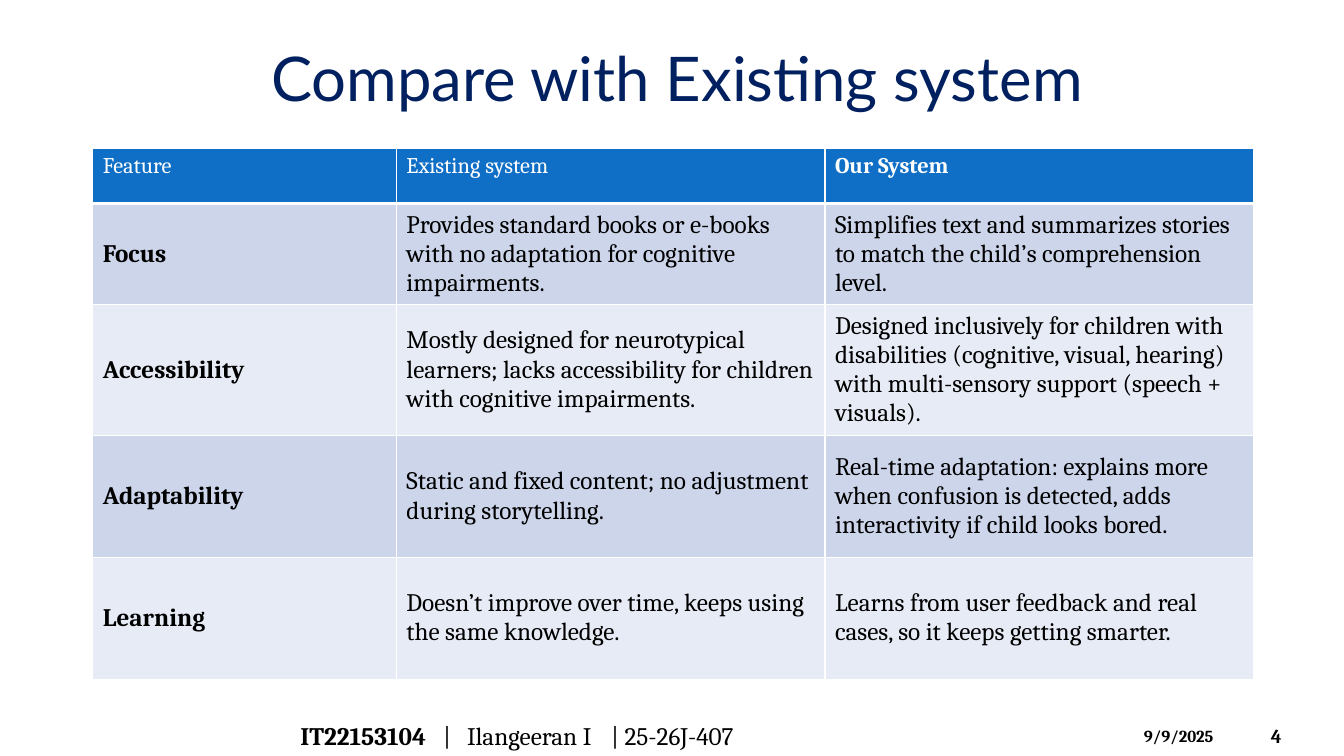
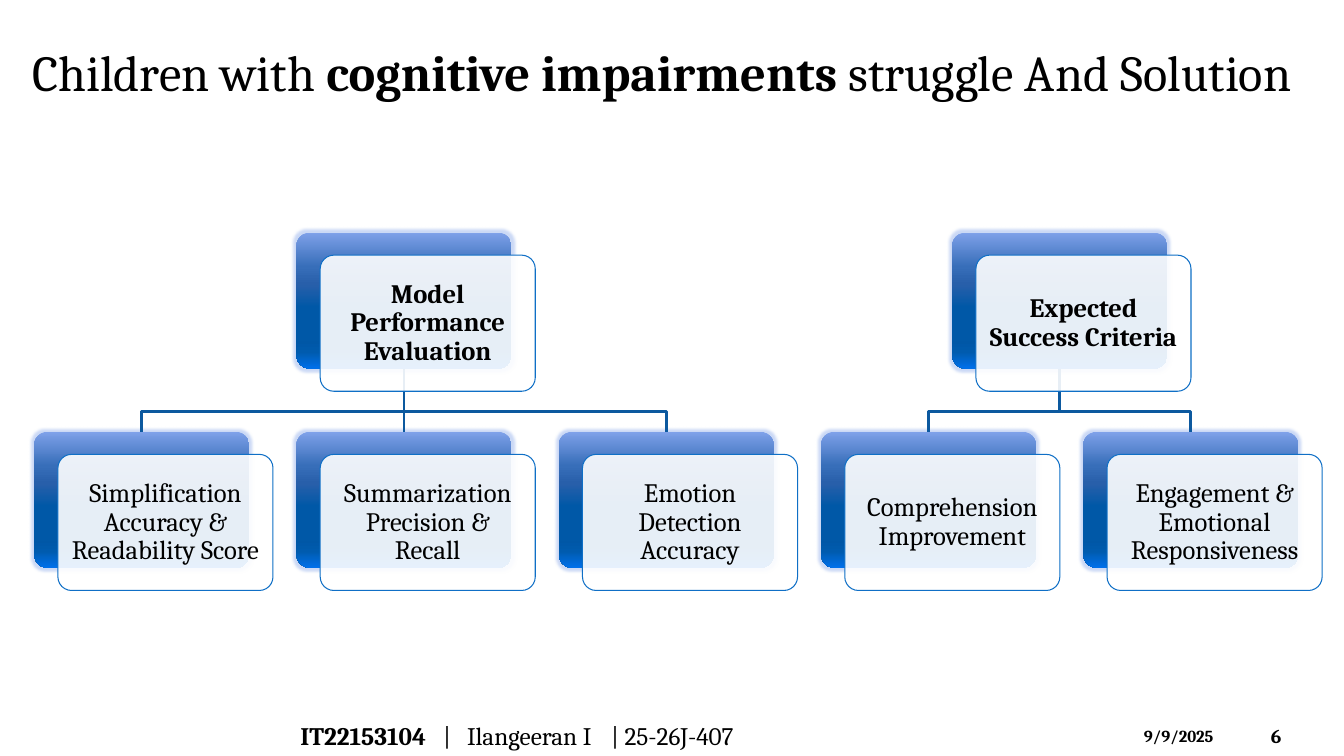
from typing import NamedTuple

import pptx
import pptx.dml.color
import pptx.enum.shapes
import pptx.enum.text
import pptx.oxml.ns
import pptx.shapes.autoshape
import pptx.slide
import pptx.table
import pptx.text.text
import pptx.util
from lxml import etree

Cm = pptx.util.Cm
Pt = pptx.util.Pt
RGBColor = pptx.dml.color.RGBColor
MIDDLE = pptx.enum.text.MSO_ANCHOR.MIDDLE
TOP = pptx.enum.text.MSO_ANCHOR.TOP
LEFT = pptx.enum.text.PP_ALIGN.LEFT
CENTER = pptx.enum.text.PP_ALIGN.CENTER
qn = pptx.oxml.ns.qn

# Shared colours and fonts
BLACK = RGBColor(0x00, 0x00, 0x00)
WHITE = RGBColor(0xFF, 0xFF, 0xFF)
NAVY = RGBColor(0x00, 0x20, 0x60)
ACCENT = RGBColor(0x0F, 0x6F, 0xC6)
BRANCH_BLUE = RGBColor(0x0C, 0x59, 0x9F)
ROW_FILLS = (RGBColor(0xCC, 0xD5, 0xEA), RGBColor(0xE7, 0xEB, 0xF5))
GLOW_BLUE = RGBColor(0x7F, 0xA1, 0xE9)
BLOCK_GRADIENT = (
    (0, GLOW_BLUE),
    (25, RGBColor(0x37, 0x6E, 0xB9)),
    (38, RGBColor(0x28, 0x5F, 0xAA)),
    (55, RGBColor(0x00, 0x58, 0xA7)),
    (80, RGBColor(0x00, 0x57, 0xA6)),
    (88, RGBColor(0x00, 0x5B, 0xAE)),
    (100, RGBColor(0x00, 0x70, 0xEB)),
)
BODY_FONT = "Cambria"
TITLE_FONT = "Lato"


class Piece(NamedTuple):
    text: str
    bold: bool = False


class Box(NamedTuple):
    left: float
    top: float
    width: float
    height: float


class Node(NamedTuple):
    label: str
    column: float
    level: int


class Branch(NamedTuple):
    root: Node
    leaves: tuple[Node, ...]


# Footer, in centimetres
DATE_BOX = Box(28.58, 18.16, 2.97, 0.76)
NUMBER_BOX = Box(31.78, 18.03, 1.88, 1.02)
AUTHOR_BOX = Box(7.32, 18.03, 18.92, 1.02)
AUTHOR = (Piece("IT22153104", True), Piece("\t|\tIlangeeran I\t| 25-26J-407"))
AUTHOR_TABS = (3.6, 4.2, 7.83)

# Comparison table
TABLE_BOX = Box(2.34, 3.73, 29.22, 13.11)
COLUMN_WIDTHS = (7.65, 10.8, 10.8)
ROW_HEIGHTS = (1.4, 2.39, 3.18, 3.07, 3.07)
COMPARISON = (
    ("Feature", "Existing system", "Our System"),
    ("Focus",
     "Provides standard books or e-books with no adaptation for cognitive impairments.",
     "Simplifies text and summarizes stories to match the child’s comprehension level."),
    ("Accessibility",
     "Mostly designed for neurotypical learners; lacks accessibility for children "
     "with cognitive impairments.",
     "Designed inclusively for children with disabilities (cognitive, visual, hearing) "
     "with multi-sensory support (speech + visuals)."),
    ("Adaptability",
     "Static and fixed content; no adjustment during storytelling.",
     "Real-time adaptation: explains more when confusion is detected, adds "
     "interactivity if child looks bored."),
    ("Learning",
     "Doesn’t improve over time, keeps using the same knowledge.",
     "Learns from user feedback and real cases, so it keeps getting smarter."),
)

# Hierarchy: grid of blocks, each with a card shifted down and right
GRID_LEFT, COLUMN_STEP = 0.86, 6.61
LEVEL_TOPS = (5.86, 10.88)
BLOCK_WIDTH, BLOCK_HEIGHT = 5.42, 3.43
CARD_SHIFT_X, CARD_SHIFT_Y = 0.6, 0.57
BEND_Y = 10.37
BRANCHES = (
    Branch(Node("Model Performance Evaluation", 1, 0), (
        Node("Simplification Accuracy & Readability Score", 0, 1),
        Node("Summarization Precision & Recall", 1, 1),
        Node("Emotion Detection Accuracy", 2, 1),
    )),
    Branch(Node("Expected Success Criteria", 3.5, 0), (
        Node("Comprehension Improvement", 3, 1),
        Node("Engagement & Emotional Responsiveness", 4, 1),
    )),
)


def style_run(run: pptx.text.text._Run, size: float, color: RGBColor,
              bold: bool, font: str = BODY_FONT) -> None:
    run.font.name = font
    run.font.size = Pt(size)
    run.font.bold = bold
    run.font.color.rgb = color


def add_color(parent: etree._Element, color: RGBColor, alpha: int = 100) -> None:
    srgb = etree.SubElement(parent, qn("a:srgbClr"), val=str(color))
    if alpha < 100:
        etree.SubElement(srgb, qn("a:alpha"), val=str(alpha * 1000))


def add_text(slide: pptx.slide.Slide, box: Box, pieces: tuple[Piece, ...], size: float,
             color: RGBColor = BLACK, font: str = BODY_FONT,
             anchor: pptx.enum.text.MSO_ANCHOR = MIDDLE,
             align: pptx.enum.text.PP_ALIGN = LEFT,
             tabs: tuple[float, ...] = ()) -> None:
    frame = slide.shapes.add_textbox(*map(Cm, box)).text_frame
    frame.word_wrap = True
    frame.vertical_anchor = anchor
    paragraph = frame.paragraphs[0]
    paragraph.alignment = align
    if tabs:
        tab_list = etree.SubElement(paragraph._p.get_or_add_pPr(), qn("a:tabLst"))
        for position in tabs:
            etree.SubElement(tab_list, qn("a:tab"), pos=str(Cm(position)), algn="l")
    for piece in pieces:
        run = paragraph.add_run()
        run.text = piece.text
        style_run(run, size, color, piece.bold, font)


def add_footer(slide: pptx.slide.Slide, number: int) -> None:
    add_text(slide, NUMBER_BOX, (Piece(str(number), True),), 14)
    add_text(slide, DATE_BOX, (Piece("9/9/2025", True),), 12, anchor=TOP)
    add_text(slide, AUTHOR_BOX, AUTHOR, 18, tabs=AUTHOR_TABS)


def set_borders(cell: pptx.table._Cell, top: float, bottom: float) -> None:
    properties = cell._tc.get_or_add_tcPr()
    for side, width in (("L", 1), ("R", 1), ("T", top), ("B", bottom)):
        border = etree.SubElement(properties, qn(f"a:ln{side}"), w=str(Pt(width)))
        add_color(etree.SubElement(border, qn("a:solidFill")), WHITE)


def add_comparison(slide: pptx.slide.Slide) -> None:
    table = slide.shapes.add_table(
        len(COMPARISON), len(COLUMN_WIDTHS), *map(Cm, TABLE_BOX)).table
    for column, width in zip(table.columns, COLUMN_WIDTHS):
        column.width = Cm(width)
    for row_index, (texts, height) in enumerate(zip(COMPARISON, ROW_HEIGHTS)):
        table.rows[row_index].height = Cm(height)
        header = row_index == 0
        for column_index, text in enumerate(texts):
            cell = table.cell(row_index, column_index)
            set_borders(cell, 3 if row_index == 1 else 1, 3 if header else 1)
            cell.fill.solid()
            cell.fill.fore_color.rgb = ACCENT if header else ROW_FILLS[(row_index - 1) % 2]
            cell.vertical_anchor = TOP if header else MIDDLE
            cell.text_frame.text = text
            bold = column_index == (len(texts) - 1 if header else 0)
            style_run(cell.text_frame.paragraphs[0].runs[0], 16 if header else 18,
                      WHITE if header else BLACK, bold)


def add_rounded(slide: pptx.slide.Slide, node: Node, shift_x: float = 0,
                shift_y: float = 0) -> pptx.shapes.autoshape.Shape:
    rounded = slide.shapes.add_shape(
        pptx.enum.shapes.MSO_SHAPE.ROUNDED_RECTANGLE,
        Cm(GRID_LEFT + node.column * COLUMN_STEP + shift_x),
        Cm(LEVEL_TOPS[node.level] + shift_y), Cm(BLOCK_WIDTH), Cm(BLOCK_HEIGHT))
    rounded.adjustments[0] = 0.1
    rounded.shadow.inherit = False
    return rounded


def add_block(slide: pptx.slide.Slide, node: Node) -> pptx.shapes.autoshape.Shape:
    block = add_rounded(slide, node)
    block.line.fill.background()
    block.fill.gradient()
    block.fill.gradient_angle = 270
    properties = block.element.spPr
    stops = properties.find(f"{qn('a:gradFill')}/{qn('a:gsLst')}")
    for stop in list(stops):
        stops.remove(stop)
    for position, color in BLOCK_GRADIENT:
        add_color(etree.SubElement(stops, qn("a:gs"), pos=str(position * 1000)), color)
    glow = etree.SubElement(properties.find(qn("a:effectLst")), qn("a:glow"), rad=str(Pt(4)))
    add_color(glow, GLOW_BLUE, 40)
    return block


def add_card(slide: pptx.slide.Slide, node: Node) -> None:
    card = add_rounded(slide, node, CARD_SHIFT_X, CARD_SHIFT_Y)
    card.fill.solid()
    card.fill.fore_color.rgb = WHITE
    white = card.element.spPr.find(f"{qn('a:solidFill')}/{qn('a:srgbClr')}")
    etree.SubElement(white, qn("a:alpha"), val="90000")
    card.line.color.rgb = ACCENT
    card.line.width = Pt(0.75)
    frame = card.text_frame
    frame.word_wrap = True
    frame.vertical_anchor = MIDDLE
    frame.margin_left = frame.margin_right = Cm(0.2)
    frame.margin_top = frame.margin_bottom = Cm(0.2)
    frame.text = node.label
    paragraph = frame.paragraphs[0]
    paragraph.alignment = CENTER
    paragraph.line_spacing = 0.9
    style_run(paragraph.runs[0], 19, BLACK, node.level == 0)


def add_link(slide: pptx.slide.Slide, root: pptx.shapes.autoshape.Shape,
             leaf: pptx.shapes.autoshape.Shape) -> None:
    start_x, start_y = root.left + root.width // 2, root.top + root.height
    end_x, end_y = leaf.left + leaf.width // 2, leaf.top
    if start_x == end_x:
        link = slide.shapes.add_connector(
            pptx.enum.shapes.MSO_CONNECTOR.STRAIGHT, start_x, start_y, end_x, end_y)
        link.begin_connect(root, 2)
        link.end_connect(leaf, 0)
    else:
        outline = slide.shapes.build_freeform(start_x, start_y)
        outline.add_line_segments(
            ((start_x, Cm(BEND_Y)), (end_x, Cm(BEND_Y)), (end_x, end_y)), close=False)
        link = outline.convert_to_shape()
        link.fill.background()
    link.line.color.rgb = BRANCH_BLUE
    link.line.width = Pt(2)
    etree.SubElement(link.element.spPr, qn("a:effectLst"))


def add_hierarchy(slide: pptx.slide.Slide) -> None:
    # Links pass over the blocks and under the translucent cards
    for branch in BRANCHES:
        root = add_block(slide, branch.root)
        for leaf in branch.leaves:
            add_link(slide, root, add_block(slide, leaf))
    for branch in BRANCHES:
        for node in (branch.root, *branch.leaves):
            add_card(slide, node)


def main() -> None:
    deck = pptx.Presentation()
    deck.slide_width, deck.slide_height = Cm(33.87), Cm(19.05)
    blank = deck.slide_layouts[6]

    # Comparison slide
    comparison = deck.slides.add_slide(blank)
    add_text(comparison, Box(0.84, 0.84, 32.46, 2.21),
             (Piece("Compare with Existing system"),), 44, NAVY, TITLE_FONT, align=CENTER)
    add_comparison(comparison)
    add_footer(comparison, 4)

    # Evaluation slide
    evaluation = deck.slides.add_slide(blank)
    add_text(evaluation, Box(0.56, 0.91, 33.3, 1.8),
             (Piece("Children with "), Piece("cognitive impairments", True),
              Piece(" struggle And Solution")), 36, anchor=TOP)
    add_hierarchy(evaluation)
    add_footer(evaluation, 6)

    deck.save("out.pptx")


if __name__ == "__main__":
    main()
